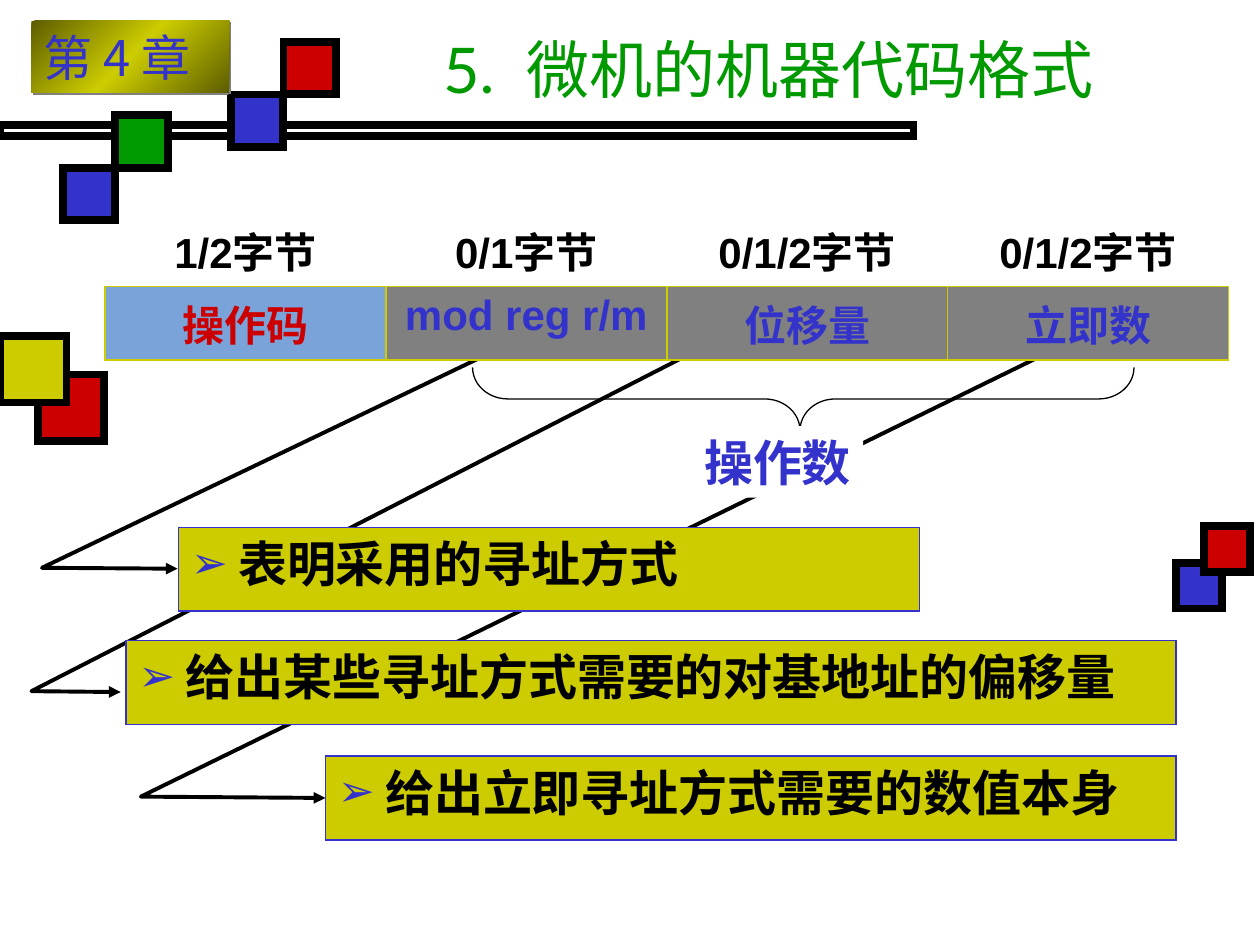
from copy import deepcopy
from typing import NamedTuple

from lxml.etree import SubElement
from pptx import Presentation
from pptx.dml.color import RGBColor
from pptx.enum.shapes import MSO_SHAPE
from pptx.enum.text import MSO_ANCHOR, MSO_AUTO_SIZE, PP_ALIGN
from pptx.oxml.ns import qn
from pptx.util import Pt

COLORS = {
    "black": "000000", "white": "FFFFFF", "blue": "3333CC", "red": "CC0000",
    "green": "009900", "yellow": "CCCC00", "olive": "5E5E00",
    "gray": "808080", "sky": "7AA3DA",
}
CJK_FONT = "Noto Sans CJK JP"


class Square(NamedTuple):
    left: float
    top: float
    size: float
    color: str


class Explanation(NamedTuple):
    text: str
    left: float
    top: float
    width: float
    arrow: list[tuple[float, float]]


class Field(NamedTuple):
    size: str
    name: str
    text_color: str
    fill: str


SQUARES = [
    Square(672, 321.5, 26.25, "blue"),
    Square(688, 300.5, 26.25, "red"),
    Square(132, 54, 30, "blue"),
    Square(36, 96, 30, "blue"),
    Square(66, 66, 30, "green"),
    Square(162, 24, 30, "red"),
    Square(21.5, 214, 38, "red"),
    Square(0, 192, 38, "yellow"),
]
# Back to front
EXPLANATIONS = [
    Explanation("给出立即寻址方式需要的数值本身", 186, 432, 486,
                [(606, 198), (80.5, 455.25), (186, 456)]),
    Explanation("给出某些寻址方式需要的对基地址的偏移量", 72, 366, 600,
                [(405.5, 196.5), (18, 395), (69, 395.5)]),
    Explanation("表明采用的寻址方式", 102, 301.25, 423.5,
                [(293, 195.5), (24, 324.5), (101.5, 325)]),
]
FIELDS = [
    Field("1/2字节", "操作码", "red", "sky"),
    Field("0/1字节", "mod reg r/m", "blue", "gray"),
    Field("0/1/2字节", "位移量", "blue", "gray"),
    Field("0/1/2字节", "立即数", "blue", "gray"),
]


def rgb(color: str) -> RGBColor:
    return RGBColor.from_string(COLORS[color])


def add_color(parent, color: str):
    return SubElement(parent, qn("a:srgbClr"), val=COLORS[color])


def style_line(shape, color: str | None, width: float = 0) -> None:
    shape.shadow.inherit = False
    if color is None:
        shape.line.fill.background()
    else:
        shape.line.color.rgb = rgb(color)
        shape.line.width = Pt(width)


def add_box(slide, left: float, top: float, width: float, height: float,
            fill: str | None, line: str | None = None, line_width: float = 0):
    shape = slide.shapes.add_shape(
        MSO_SHAPE.RECTANGLE, Pt(left), Pt(top), Pt(width), Pt(height))
    if fill is None:
        shape.fill.background()
    else:
        shape.fill.solid()
        shape.fill.fore_color.rgb = rgb(fill)
    style_line(shape, line, line_width)
    if line is not None:
        SubElement(shape.element.spPr.get_or_add_ln(), qn("a:miter"), lim="800000")
    return shape


def set_text(text_frame, text: str, size: float, color: str, font: str = "Arial",
             bold: bool = True, align: PP_ALIGN = PP_ALIGN.LEFT):
    text_frame.text = text
    paragraph = text_frame.paragraphs[0]
    paragraph.alignment = align
    run = paragraph.runs[0]
    run.font.size = Pt(size)
    run.font.bold = bold
    run.font.name = font
    run.font.color.rgb = rgb(color)
    SubElement(run.font._element, qn("a:ea"), typeface=CJK_FONT)
    return paragraph


def add_chapter_tag(slide) -> None:
    tag = add_box(slide, 18, 12, 113, 41, "yellow")
    tag.fill.gradient()
    tag.fill.gradient_angle = 315
    for stop in tag.fill.gradient_stops:
        stop.color.rgb = rgb("olive")
    first = tag.element.spPr.find(".//" + qn("a:gs"))
    first.addnext(deepcopy(first))
    middle = tag.fill.gradient_stops[1]
    middle.position = 0.5
    middle.color.rgb = rgb("yellow")

    effects = tag.element.spPr.find(qn("a:effectLst"))
    shadow = SubElement(effects, qn("a:outerShdw"), dist=str(Pt(1.4)), dir="2700000")
    add_color(shadow, "gray")

    tag.text_frame.word_wrap = False
    set_text(tag.text_frame, "第 4 章", 28, "blue", CJK_FONT, bold=False)


def add_explanation(slide, explanation: Explanation) -> None:
    start, *corners = [(Pt(x), Pt(y)) for x, y in explanation.arrow]
    builder = slide.shapes.build_freeform(*start, scale=1.0)
    builder.add_line_segments(corners, close=False)
    arrow = builder.convert_to_shape()
    arrow.fill.background()
    style_line(arrow, "black", 2.25)
    SubElement(arrow.element.spPr.get_or_add_ln(), qn("a:tailEnd"), type="triangle")

    box = add_box(slide, explanation.left, explanation.top, explanation.width, 48,
                  "yellow", "blue", 0.75)
    box.text_frame.word_wrap = True
    box.text_frame.vertical_anchor = MSO_ANCHOR.TOP
    paragraph = set_text(box.text_frame, explanation.text, 28, "black",
                         align=PP_ALIGN.JUSTIFY)
    paragraph.space_before = Pt(7)
    properties = paragraph._p.get_or_add_pPr()
    properties.set("marL", str(Pt(27)))
    properties.set("indent", str(-Pt(27)))
    add_color(SubElement(properties, qn("a:buClr")), "blue")
    SubElement(properties, qn("a:buSzPct"), val="90000")
    SubElement(properties, qn("a:buFont"), typeface="Arial")
    SubElement(properties, qn("a:buChar"), char="➢")


def set_borders(cell, color: str | None, width: float) -> None:
    properties = cell._tc.get_or_add_tcPr()
    for position, side in enumerate(("a:lnL", "a:lnR", "a:lnT", "a:lnB")):
        border = SubElement(properties, qn(side), w=str(Pt(width)))
        if color is None:
            SubElement(border, qn("a:noFill"))
        else:
            add_color(SubElement(border, qn("a:solidFill")), color)
        properties.insert(position, border)


def add_format_table(slide) -> None:
    table = slide.shapes.add_table(
        2, len(FIELDS), Pt(60), Pt(121.75), Pt(642), Pt(75.5)).table
    table.first_row = table.horz_banding = False
    table.rows[0].height, table.rows[1].height = Pt(36), Pt(39.5)
    for column, field in enumerate(FIELDS):
        size_cell, name_cell = table.cell(0, column), table.cell(1, column)
        size_cell.fill.background()
        name_cell.fill.solid()
        name_cell.fill.fore_color.rgb = rgb(field.fill)
        set_borders(size_cell, None, 0)
        set_borders(name_cell, "yellow", 1.08)
        for cell, text, color in ((size_cell, field.size, "black"),
                                  (name_cell, field.name, field.text_color)):
            paragraph = set_text(cell.text_frame, text, 24, color, align=PP_ALIGN.CENTER)
            paragraph.space_before = Pt(6)


def add_operand_brace(slide) -> None:
    brace = slide.shapes.add_shape(
        MSO_SHAPE.RIGHT_BRACE, Pt(441), Pt(39), Pt(36), Pt(378))
    brace.rotation = 90
    brace.adjustments[0], brace.adjustments[1] = 0.56, 0.505
    brace.fill.background()
    style_line(brace, "black", 0.75)
    label = add_box(slide, 395.25, 243.5, 98, 41, "white")
    label.text_frame.word_wrap = False
    label.text_frame.vertical_anchor = MSO_ANCHOR.TOP
    set_text(label.text_frame, "操作数", 28, "blue")


def main() -> None:
    presentation = Presentation()
    presentation.slide_width, presentation.slide_height = Pt(720), Pt(540)
    slide = presentation.slides.add_slide(presentation.slide_layouts[5])

    # Title
    title = slide.shapes.title
    title.left, title.top, title.width, title.height = Pt(246), Pt(6), Pt(474), Pt(66)
    title.text_frame.auto_size = MSO_AUTO_SIZE.NONE
    title.text_frame.vertical_anchor = MSO_ANCHOR.MIDDLE
    set_text(title.text_frame, "5.  微机的机器代码格式", 36, "green", "Lato",
             bold=False, align=PP_ALIGN.JUSTIFY)

    # Decoration
    add_box(slide, 0, 71.25, 522, 6.5, None, "black", 4.5)
    for square in SQUARES:
        add_box(slide, square.left, square.top, square.size, square.size,
                square.color, "black", 4.5)
    add_chapter_tag(slide)

    # Instruction format and its explanations
    for explanation in EXPLANATIONS:
        add_explanation(slide, explanation)
    add_format_table(slide)
    add_operand_brace(slide)

    presentation.save("out.pptx")


if __name__ == "__main__":
    main()
